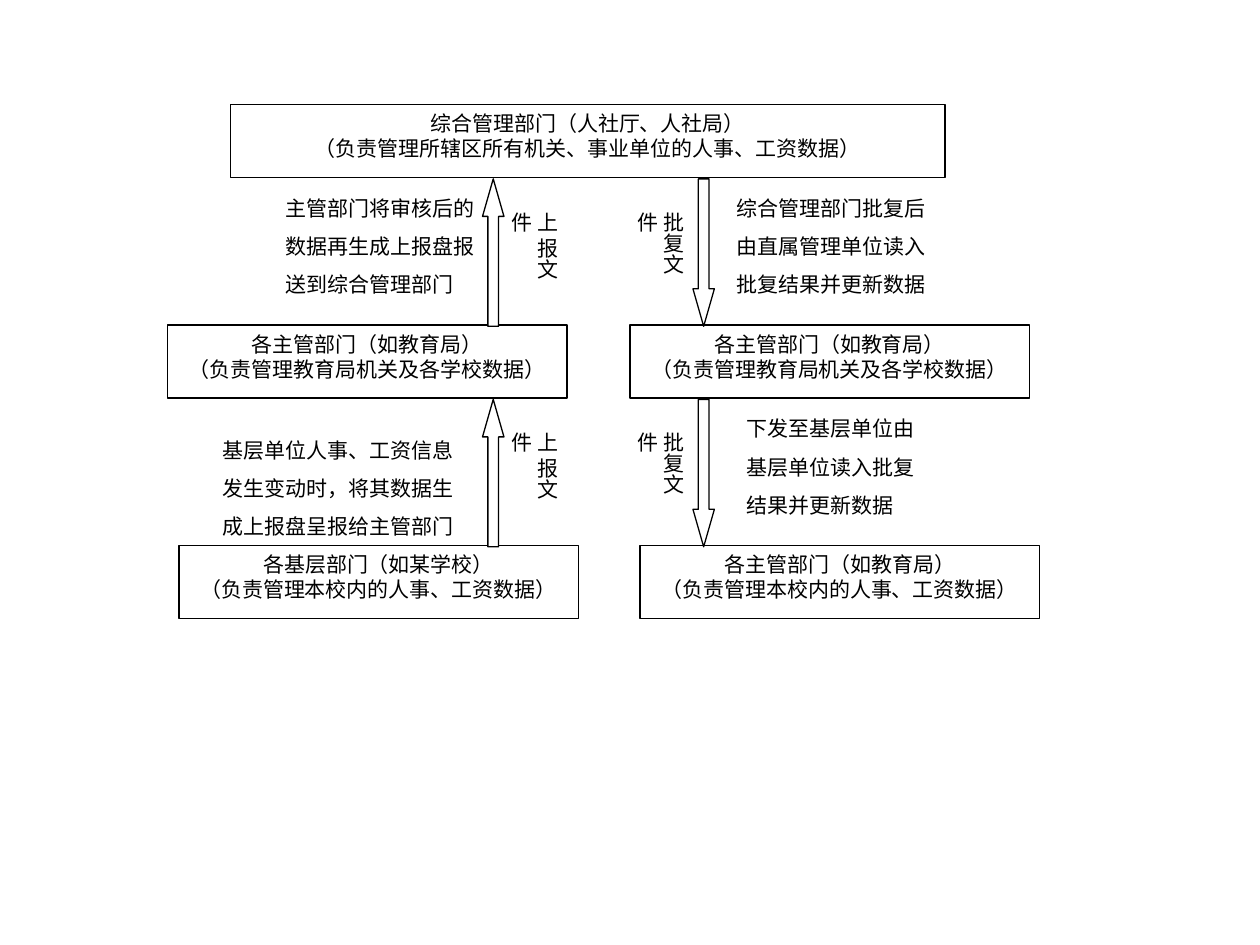
from dataclasses import dataclass

from pptx import Presentation
from pptx.dml.color import RGBColor
from pptx.enum.shapes import MSO_SHAPE
from pptx.enum.text import MSO_ANCHOR, MSO_AUTO_SIZE, PP_ALIGN
from pptx.shapes.autoshape import Shape
from pptx.slide import Slide
from pptx.util import Inches, Pt

BLACK = RGBColor(0, 0, 0)
WHITE = RGBColor(255, 255, 255)
SERIF = "Times New Roman"
SANS = "Arial"
ROWS = (0.83, 2.58, 4.33)
BOX_HIGH = 0.58
STEP = 1.75


@dataclass(frozen=True)
class Box:
    left: float
    row: int
    width: float
    text: str
    fonts: tuple[str, str] = (SERIF, SERIF)


@dataclass(frozen=True)
class Arrow:
    left: float
    kind: MSO_SHAPE


@dataclass(frozen=True)
class Label:
    left: float
    text: str


@dataclass(frozen=True)
class Note:
    left: float
    top: float
    width: float
    text: str


BUREAU = "各主管部门（如教育局）\n（负责管理教育局机关及各学校数据）"
BOXES = (
    Box(1.83, 0, 5.67, "综合管理部门（人社厅、人社局）\n（负责管理所辖区所有机关、事业单位的人事、工资数据）"),
    Box(1.33, 1, 3.17, BUREAU),
    Box(5, 1, 3.17, BUREAU),
    Box(1.42, 2, 3.17, "各基层部门（如某学校）\n（负责管理本校内的人事、工资数据）", (SERIF, SANS)),
    Box(5.08, 2, 3.17, "各主管部门（如教育局）\n（负责管理本校内的人事、工资数据）"),
)
ARROWS = (Arrow(3.83, MSO_SHAPE.UP_ARROW), Arrow(5.5, MSO_SHAPE.DOWN_ARROW))
LABELS = (Label(4.09, "上 报文件"), Label(5.09, "批复文件"))
NOTES = (
    Note(2.17, 1.5, 2.25, "主管部门将审核后的\n数据再生成上报盘报\n送到综合管理部门"),
    Note(1.67, 3.42, 2.08, "基层单位人事、工资信息\n发生变动时，将其数据生\n成上报盘呈报给主管部门"),
    Note(5.75, 1.5, 1.92, "综合管理部门批复后\n由直属管理单位读入\n批复结果并更新数据"),
    Note(5.83, 3.25, 2.08, "下发至基层单位由\n基层单位读入批复\n结果并更新数据"),
)


def add_form(slide: Slide, kind: MSO_SHAPE, left: float, top: float,
             width: float, height: float) -> Shape:
    form = slide.shapes.add_shape(
        kind, Inches(left), Inches(top), Inches(width), Inches(height))
    form.shadow.inherit = False
    form.fill.solid()
    form.fill.fore_color.rgb = WHITE
    form.line.color.rgb = BLACK
    form.line.width = Pt(0.75)
    return form


def style_line(line, font: str) -> None:
    for run in line.runs:
        run.font.size = Pt(12)
        run.font.name = font
        run.font.color.rgb = BLACK


def draw_box(slide: Slide, box: Box) -> None:
    form = add_form(slide, MSO_SHAPE.RECTANGLE, box.left, ROWS[box.row],
                    box.width, BOX_HIGH)
    frame = form.text_frame
    frame.text = box.text
    frame.word_wrap = True
    frame.vertical_anchor = MSO_ANCHOR.TOP
    for line, font in zip(frame.paragraphs, box.fonts):
        line.alignment = PP_ALIGN.CENTER
        style_line(line, font)


def draw_arrow(slide: Slide, arrow: Arrow, top: float) -> None:
    form = add_form(slide, arrow.kind, arrow.left, top, 0.17, 1.17)
    form.adjustments[0] = 0.5
    form.adjustments[1] = 1.75


def add_text(slide: Slide, left: float, top: float, width: float,
             height: float, text: str) -> Shape:
    area = slide.shapes.add_textbox(
        Inches(left), Inches(top), Inches(width), Inches(height))
    frame = area.text_frame
    frame.text = text
    frame.word_wrap = True
    frame.auto_size = MSO_AUTO_SIZE.SHAPE_TO_FIT_TEXT
    for line in frame.paragraphs:
        line.space_before = Pt(7.5)
        style_line(line, SANS)
    return area


def draw_label(slide: Slide, label: Label, top: float) -> None:
    area = add_text(slide, label.left, top, 0.4, 0.83, label.text)
    frame = area.text_frame
    frame.margin_left = frame.margin_right = Inches(0.05)
    frame.margin_top = frame.margin_bottom = Inches(0.1)
    area.element.txBody.bodyPr.set("vert", "eaVert")


def main() -> None:
    deck = Presentation()
    deck.slide_width = Inches(10)
    deck.slide_height = Inches(7.5)
    slide = deck.slides.add_slide(deck.slide_layouts[6])
    for box in BOXES:
        draw_box(slide, box)
    for level in range(2):
        for arrow in ARROWS:
            draw_arrow(slide, arrow, 1.42 + level * STEP)
        for label in LABELS:
            draw_label(slide, label, 1.58 + level * STEP)
    for note in NOTES:
        add_text(slide, note.left, note.top, note.width, 0.91, note.text)
    deck.save("out.pptx")


if __name__ == "__main__":
    main()
